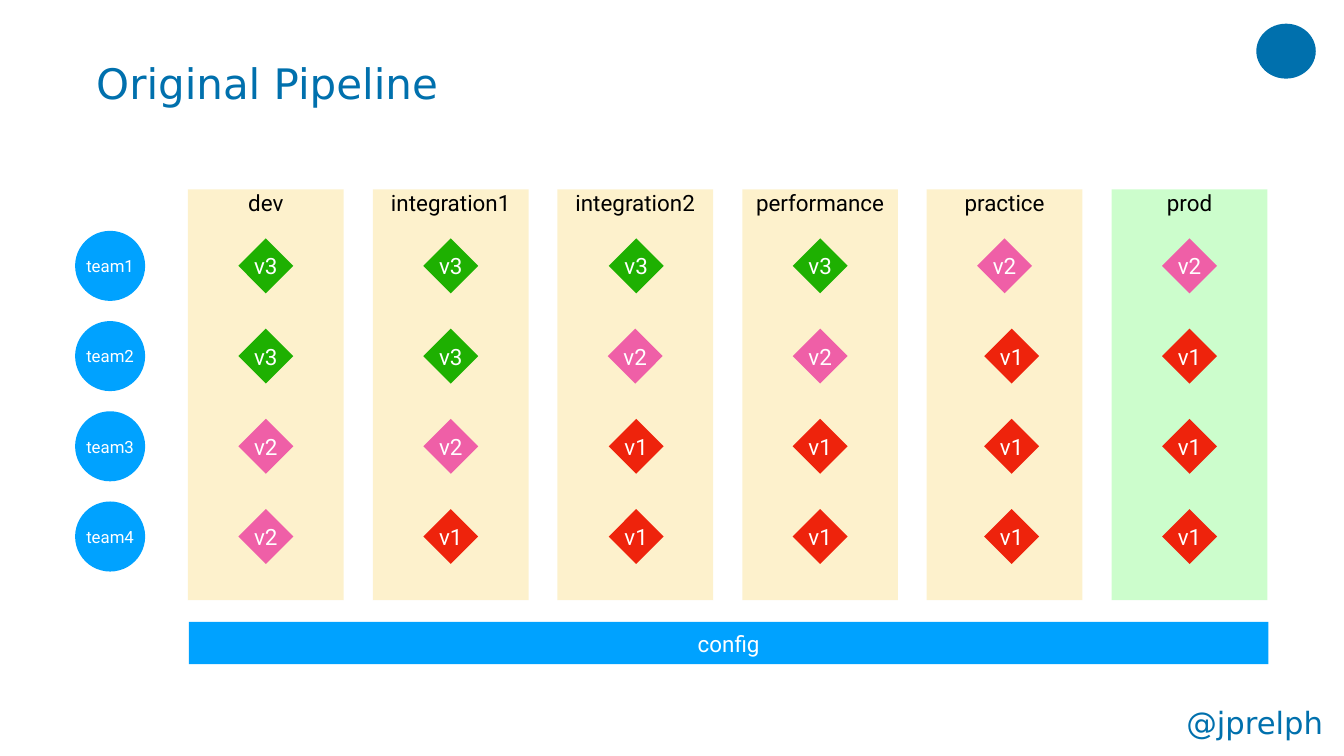
from dataclasses import dataclass

from pptx import Presentation
from pptx.dml.color import RGBColor
from pptx.enum.shapes import MSO_SHAPE as Shape
from pptx.enum.text import MSO_ANCHOR as Anchor, MSO_AUTO_SIZE as AutoSize, PP_ALIGN as Align
from pptx.oxml.ns import qn
from pptx.util import Pt
from lxml.etree import SubElement

EMU_PER_PX = 9144  # 100 px to the inch


@dataclass(frozen=True)
class Theme:
    heading_font: str = "DejaVu Sans"
    body_font: str = "Roboto"
    navy: str = "0070AD"
    blue: str = "00A2FF"
    amber: str = "F7BA01"
    lime: str = "00F900"
    green: str = "1EB001"
    pink: str = "EF5FA7"
    red: str = "EE230C"
    white: str = "FFFFFF"
    black: str = "000000"
    title_size: float = 60
    handle_size: float = 43.8
    label_size: float = 32
    team_size: float = 24


def px(length):
    return int(length * EMU_PER_PX)


class SlideBuilder:
    def __init__(self, presentation, theme):
        self.theme = theme
        self.slide = presentation.slides.add_slide(presentation.slide_layouts[5])

    def set_text(self, shape, text, size, color, font, align=Align.CENTER,
                 anchor=Anchor.MIDDLE, inset=0, wrap=True):
        frame = shape.text_frame
        frame_format = {"word_wrap": wrap, "auto_size": AutoSize.NONE, "vertical_anchor": anchor}
        for side in ("left", "top", "right", "bottom"):
            frame_format[f"margin_{side}"] = px(inset)
        for name, value in frame_format.items():
            setattr(frame, name, value)
        paragraph = frame.paragraphs[0]
        paragraph.alignment = align
        run = paragraph.add_run()
        run.text = text
        for name, value in {"size": Pt(size), "name": font}.items():
            setattr(run.font, name, value)
        run.font.color.rgb = RGBColor.from_string(color)

    def title(self, text, left, top, width, height):
        shape = self.slide.shapes.title
        place = {"left": left, "top": top, "width": width, "height": height}
        for name, value in place.items():
            setattr(shape, name, px(value))
        self.set_text(shape, text, self.theme.title_size, self.theme.navy,
                      self.theme.heading_font, Align.LEFT, inset=6)

    def handle(self, text, *box):
        shape = self.slide.shapes.add_textbox(*map(px, box))
        self.set_text(shape, text, self.theme.handle_size, self.theme.navy,
                      self.theme.heading_font, Align.LEFT, inset=6)

    def block(self, kind, box, fill, text="", size=None, color=None, opacity=100, **text_format):
        shape = self.slide.shapes.add_shape(kind, *map(px, box))
        shape.shadow.inherit = False
        shape.fill.solid()
        shape.fill.fore_color.rgb = RGBColor.from_string(fill)
        shape.line.fill.background()
        if opacity < 100:
            fill_color = shape.element.spPr.find(qn("a:solidFill"))[0]
            SubElement(fill_color, qn("a:alpha"), val=str(opacity * 1000))
        if text:
            self.set_text(shape, text, size or self.theme.label_size,
                          color or self.theme.white, self.theme.body_font, **text_format)


# Versions per environment, from team1 down to team4
PIPELINE = {
    "dev": ("v3", "v3", "v2", "v2"),
    "integration1": ("v3", "v3", "v2", "v1"),
    "integration2": ("v3", "v2", "v1", "v1"),
    "performance": ("v3", "v2", "v1", "v1"),
    "practice": ("v2", "v1", "v1", "v1"),
    "prod": ("v2", "v1", "v1", "v1"),
}
COLUMN_LEFT, COLUMN_TOP, COLUMN_PITCH = 373, 376, 366.6
COLUMN_WIDTH, COLUMN_HEIGHT = 309, 815
ROW_CENTER, ROW_PITCH, TEAM_COUNT = 527, 179, 4
CIRCLE, DIAMOND = 139, 109
# Diamonds that sit right of their column's centre
NUDGES = {("practice", "v1"): 14, ("integration2", "v1"): 2, ("integration2", "v3"): 2}


def main():
    presentation = Presentation()
    presentation.slide_width, presentation.slide_height = px(2667), px(1500)
    theme = Theme()
    builder = SlideBuilder(presentation, theme)
    version_colors = {"v1": theme.red, "v2": theme.pink, "v3": theme.green}
    centers = [ROW_CENTER + row * ROW_PITCH for row in range(TEAM_COUNT)]

    # Heading, corner mark and handle
    builder.title("Original Pipeline", 185, 39, 2297, 250)
    builder.block(Shape.OVAL, (2493, 47, 118, 109), theme.navy)
    builder.handle("@jprelph", 2348, 1391, 309, 84)

    # Shared configuration bar
    builder.block(Shape.RECTANGLE, (375, 1234, 2142, 84), theme.blue, "config")

    # Teams
    for number, center in enumerate(centers, start=1):
        builder.block(Shape.OVAL, (149, center - CIRCLE // 2, CIRCLE, CIRCLE),
                      theme.blue, f"team{number}", theme.team_size)

    # Environments with the version each team runs there
    for column, (environment, versions) in enumerate(PIPELINE.items()):
        left = round(COLUMN_LEFT + column * COLUMN_PITCH)
        fill = theme.lime if environment == "prod" else theme.amber
        builder.block(Shape.RECTANGLE, (left, COLUMN_TOP, COLUMN_WIDTH, COLUMN_HEIGHT),
                      fill, environment, color=theme.black, opacity=20, anchor=Anchor.TOP)
        for version, center in zip(versions, centers):
            diamond_left = left + (COLUMN_WIDTH - DIAMOND) // 2 + NUDGES.get((environment, version), 0)
            builder.block(Shape.DIAMOND, (diamond_left, center - DIAMOND // 2, DIAMOND, DIAMOND),
                          version_colors[version], version, wrap=False)

    presentation.save("out.pptx")


if __name__ == "__main__":
    main()
